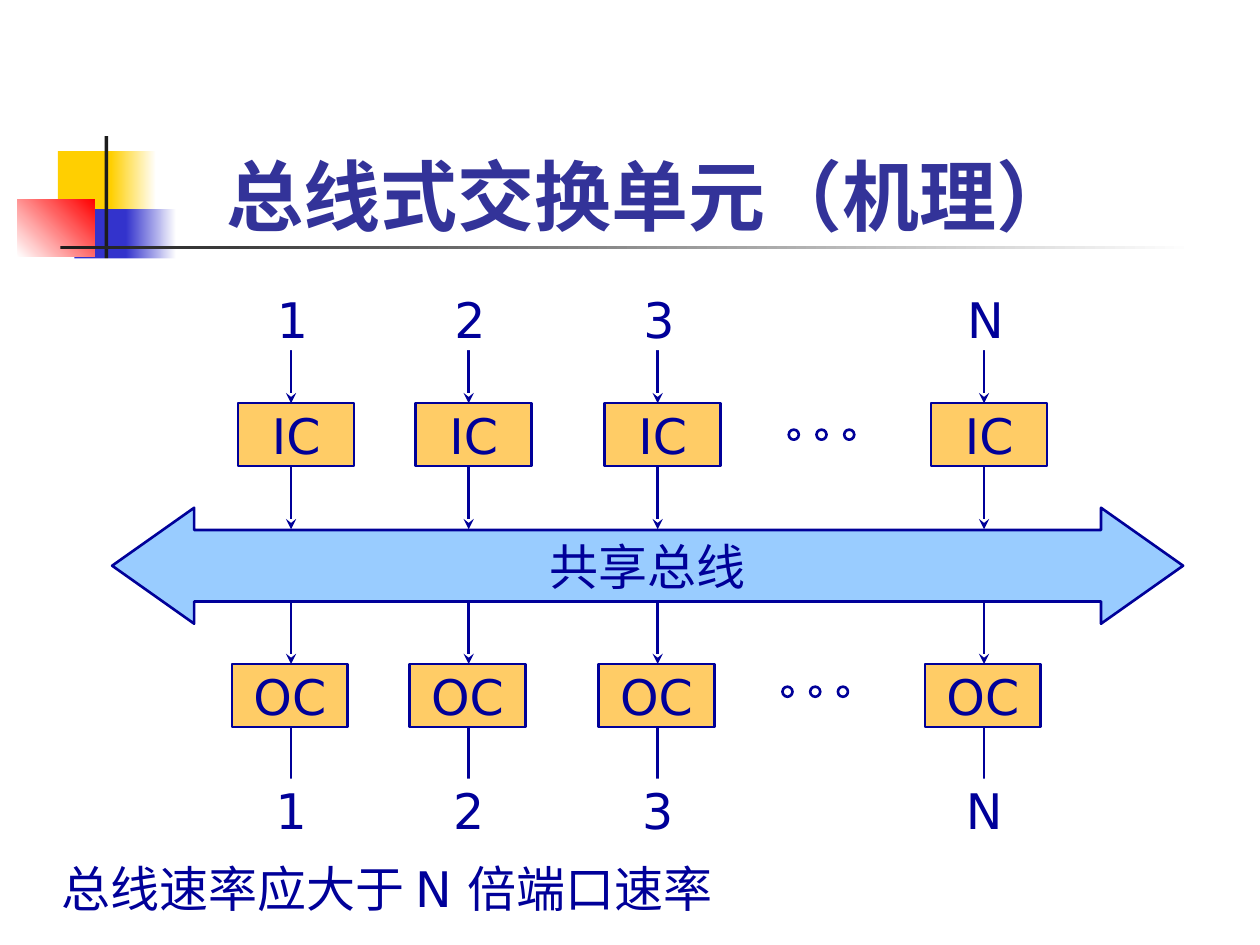
import pptx
import pptx.util
import pptx.dml.color
import pptx.enum.shapes
import pptx.enum.text
import pptx.oxml
import pptx.oxml.ns
from dataclasses import dataclass

Inches = pptx.util.Inches
Pt = pptx.util.Pt
Kind = pptx.enum.shapes.MSO_SHAPE
Align = pptx.enum.text.PP_ALIGN
Anchor = pptx.enum.text.MSO_ANCHOR


@dataclass(frozen=True)
class Theme:
    ink: str = "000099"
    head: str = "333399"
    card: str = "FFCC66"
    bus: str = "99CCFF"
    white: str = "FFFFFF"
    gold: str = "FFCF01"
    blue: str = "3333CC"
    red: str = "FF0000"
    dark: str = "1C1C1C"
    latin: str = "DejaVu Sans"
    asian: str = "Noto Sans CJK JP"
    body: int = 28
    title: int = 44
    line: float = 1.5


def rgb(code):
    return pptx.dml.color.RGBColor.from_string(code)


class Board:
    def __init__(self, slide, theme):
        self.slide = slide
        self.theme = theme

    def shape(self, box, fill, kind=Kind.RECTANGLE, edge=False):
        item = self.slide.shapes.add_shape(kind, *map(Inches, box))
        item.shadow.inherit = False
        item.fill.solid()
        item.fill.fore_color.rgb = rgb(fill)
        if edge:
            item.line.color.rgb = rgb(self.theme.ink)
            item.line.width = Pt(self.theme.line)
        else:
            item.line.fill.background()
        return item

    def fade(self, box, start, end, angle=0):
        """Add a borderless rectangle with a two-colour gradient."""
        fill = self.shape(box, start).fill
        fill.gradient()
        fill.gradient_angle = angle
        for stop, code, place in zip(fill.gradient_stops, (start, end), (0, 1)):
            stop.color.rgb = rgb(code)
            stop.position = place

    def label(self, item, text, align=Align.CENTER, pad=(0.1, 0.05)):
        """Put one line of body text into a shape."""
        frame = item.text_frame
        frame.word_wrap = False
        frame.vertical_anchor = Anchor.MIDDLE
        frame.margin_left = frame.margin_right = Inches(pad[0])
        frame.margin_top = frame.margin_bottom = Inches(pad[1])
        self.text(frame, text, align, self.theme.latin, self.theme.body, self.theme.ink)

    def text(self, frame, text, align, face, size, color, bold=False):
        para = frame.paragraphs[0]
        para.alignment = align
        run = para.add_run()
        run.text = text
        font = run.font
        font.name, font.size, font.bold = face, Pt(size), bold
        font.color.rgb = rgb(color)
        east = pptx.oxml.parse_xml(
            f'<a:ea {pptx.oxml.ns.nsdecls("a")} typeface="{self.theme.asian}"/>')
        run._r.rPr.find(pptx.oxml.ns.qn("a:latin")).addnext(east)

    def title(self, box, text):
        frame = self.slide.shapes.add_textbox(*map(Inches, box)).text_frame
        frame.word_wrap = True
        frame.vertical_anchor = Anchor.BOTTOM
        self.text(frame, text, Align.CENTER, self.theme.asian, self.theme.title,
                  self.theme.head, True)

    def arrow(self, x, top, drop):
        link = self.slide.shapes.add_connector(
            pptx.enum.shapes.MSO_CONNECTOR.STRAIGHT,
            Inches(x), Inches(top), Inches(x), Inches(top + drop))
        link.line.color.rgb = rgb(self.theme.ink)
        link.line.width = Pt(self.theme.line)
        space = pptx.oxml.ns.nsdecls("a")
        props = link._element.spPr
        props.find(pptx.oxml.ns.qn("a:ln")).append(
            pptx.oxml.parse_xml(f'<a:tailEnd {space} type="stealth"/>'))
        props.append(pptx.oxml.parse_xml(f"<a:effectLst {space}/>"))

    def dots(self, left, top):
        for i in range(3):
            self.shape((left + i * 0.22, top, 0.08, 0.08), self.theme.white,
                       Kind.OVAL, edge=True)


def decor(board):
    t = board.theme
    board.shape((0.46, 1.2, 0.48, 0.52), t.gold)
    board.fade((0.88, 1.2, 0.36, 0.52), t.gold, t.white)
    board.shape((0.59, 1.66, 0.46, 0.52), t.blue)
    board.fade((1, 1.66, 0.4, 0.52), t.blue, t.white)
    board.fade((0.14, 1.58, 0.61, 0.46), t.white, t.red, 45)
    board.shape((0.83, 1.08, 0.03, 1.15), t.dark)
    board.fade((0.48, 1.95, 9, 0.03), t.dark, t.white)


def diagram(board):
    t = board.theme
    ports = {"1": 2.31, "2": 3.72, "3": 5.22, "N": 7.81}
    wide, high = 0.92, 0.5

    board.shape((0, 2.05, 10, 5.45), t.white)
    bus = board.shape((0.89, 4.03, 8.5, 0.92), t.bus, Kind.LEFT_RIGHT_ARROW, edge=True)
    bus.adjustments[0], bus.adjustments[1] = 0.617, 0.708
    board.label(bus, "共享总线")

    for name, shift, top in (("IC", 0.42, 3.2), ("OC", 0.47, 5.27)):
        for x in ports.values():
            card = board.shape((x - shift, top, wide, high), t.card, edge=True)
            board.label(card, name)
    for top in (2.7, 3.7, 4.77, 5.77):
        for x in ports.values():
            board.arrow(x, top, high)
    for shift, top in ((0.45, 2.28), (0.46, 6.18)):
        for name, x in ports.items():
            board.label(board.shape((x - shift, top, wide, high), t.white), name)

    note = board.shape((0.49, 6.8, 4.94, 0.49), t.white)
    board.label(note, "总线速率应大于 N 倍端口速率", Align.LEFT, (0, 0))
    board.dots(6.26, 3.41)
    board.dots(6.21, 5.45)


def main():
    deck = pptx.Presentation()
    deck.slide_width, deck.slide_height = Inches(10), Inches(7.5)
    board = Board(deck.slides.add_slide(deck.slide_layouts[6]), Theme())
    decor(board)
    board.title((0.9, 0.36, 8.52, 1.6), "总线式交换单元（机理）")
    diagram(board)
    deck.save("out.pptx")


if __name__ == "__main__":
    main()
